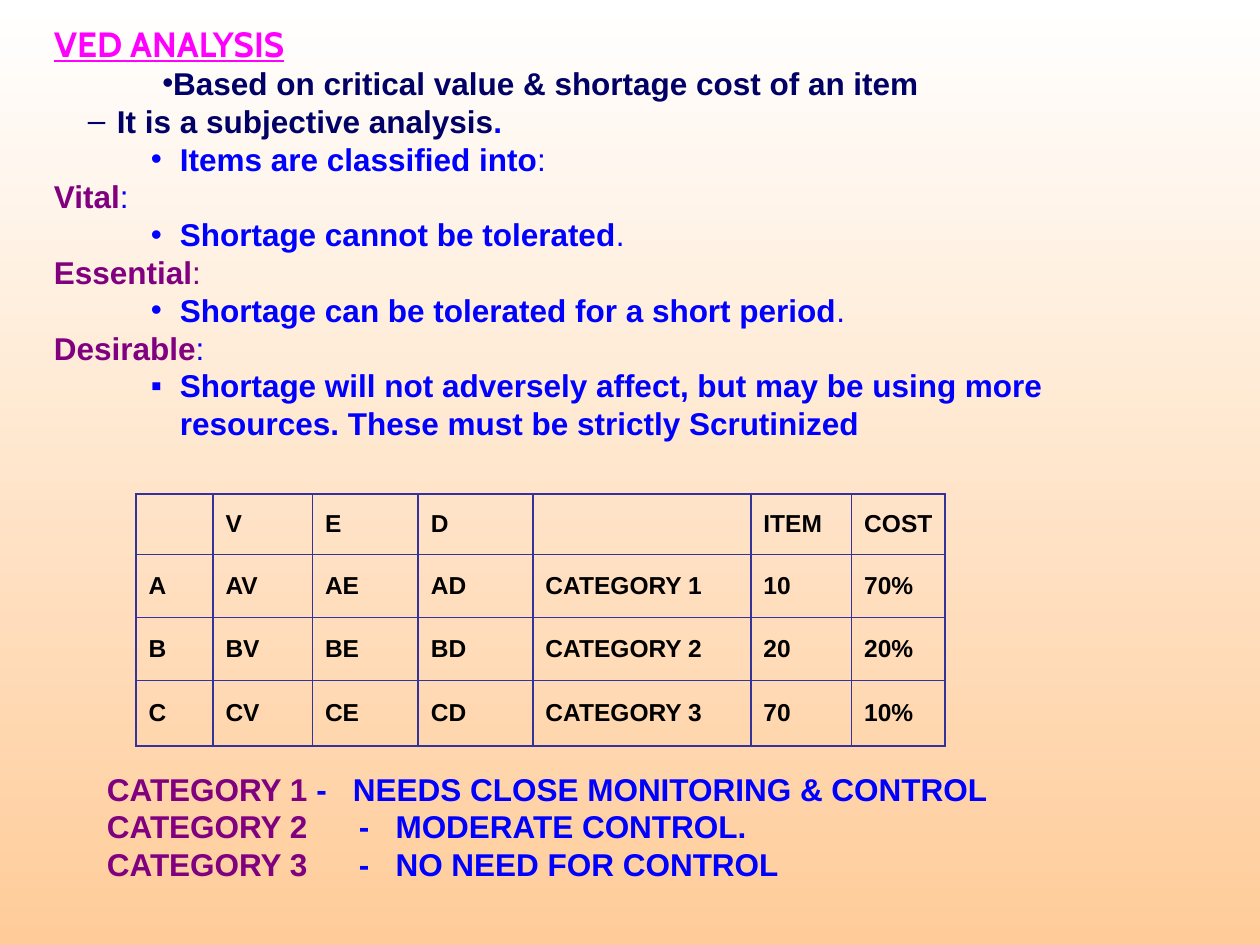
import pptx
import pptx.util
import pptx.dml.color
import pptx.enum.text
import pptx.oxml.xmlchemy
import pptx.oxml.ns
import lxml.etree

Inches, Pt = pptx.util.Inches, pptx.util.Pt
Anchor = pptx.enum.text.MSO_ANCHOR

theme = dict(
    font="Arial", head="Cabin", title=20, body=18, cell=14, pitch=21.6, rule=0.96,
    pink="FF00FF", navy="000066", blue="0000FF", plum="800080",
    black="000000", line="333399", top="FFFFFF", base="FFCC99")

# Content: each paragraph is (list style, runs); a run is (text, colour, bold)
title = "VED ANALYSIS"


def point(text, end="", mark="dot"):
    return mark, [(text, "blue", True), (end, "blue", False)]


def term(text, tail="blue"):
    return None, [(text, "plum", True), (":", tail, False)]


points = [
    ("lead", [("Based on critical value & shortage cost of an item", "navy", True)]),
    ("dash", [("It is a subjective analysis", "navy", True), (".", "blue", True)]),
    point("Items are classified into", ":"),
    term("Vital"),
    point("Shortage cannot be tolerated", "."),
    term("Essential", "plum"),
    point("Shortage can be tolerated for a short period", "."),
    term("Desirable"),
    point("Shortage will not adversely affect, but may be using more resources. "
          "These must be strictly Scrutinized", mark="box"),
]
grid = [
    ["", "V", "E", "D", "", "ITEM", "COST"],
    ["A", "AV", "AE", "AD", "CATEGORY 1", "10", "70%"],
    ["B", "BV", "BE", "BD", "CATEGORY 2", "20", "20%"],
    ["C", "CV", "CE", "CD", "CATEGORY 3", "70", "10%"],
]
rules = [
    ("CATEGORY 1", " -   NEEDS CLOSE MONITORING & CONTROL"),
    ("CATEGORY 2\t", "-   MODERATE CONTROL."),
    ("CATEGORY 3\t", "-   NO NEED FOR CONTROL"),
]
notes = [(None, [(name, "plum", True), (rule, "blue", True)]) for name, rule in rules]

# List styles: level, left margin, first-line indent, mark, mark colour
marks = dict(
    lead=(0, 0, 0.86, "•", "navy"),
    dash=(1, 0.5, -0.23, "–", "navy"),
    dot=(2, 1, -0.23, "•", "blue"),
    box=(2, 1, -0.23, "▪", "blue"))
widths = [0.61, 0.79, 0.84, 0.91, 1.73, 0.8, 0.74]
heights = [0.48, 0.5, 0.5, 0.52]


def color(name):
    return pptx.dml.color.RGBColor.from_string(theme[name])


def node(parent, tag, **attrs):
    item = lxml.etree.SubElement(parent, pptx.oxml.ns.qn("a:" + tag))
    for key, value in attrs.items():
        item.set(key, str(value))
    return item


def bullet(par, mark):
    level, left, first, sign, tint = marks[mark]
    par.level = level
    props = par._p.get_or_add_pPr()
    props.set("marL", str(Inches(left)))
    props.set("indent", str(Inches(first)))
    node(node(props, "buClr"), "srgbClr", val=theme[tint])
    node(props, "buFont", typeface=theme["font"])
    node(props, "buChar", char=sign)


def write(frame, pars, size="body", font="font", line=False, pitch=None,
          anchor=Anchor.TOP, tab=None):
    frame.word_wrap = True
    frame.vertical_anchor = anchor
    for i, (mark, runs) in enumerate(pars):
        par = frame.add_paragraph() if i else frame.paragraphs[0]
        par.alignment = pptx.enum.text.PP_ALIGN.LEFT
        if pitch:
            par.line_spacing = Pt(pitch)
            par.space_before = Pt(0)
        if mark:
            bullet(par, mark)
        if tab:
            stops = node(par._p.get_or_add_pPr(), "tabLst")
            node(stops, "tab", pos=Inches(tab), algn="l")
        for text, tint, bold in runs:
            if text:
                run = par.add_run()
                run.text = text
                run.font.name = theme[font]
                run.font.size = Pt(theme[size])
                run.font.color.rgb = color(tint)
                run.font.bold = bold
                run.font.underline = line


def border(cell):
    props = cell._tc.get_or_add_tcPr()
    for i, side in enumerate(("lnL", "lnR", "lnT", "lnB")):
        edge = node(props, side, w=Pt(theme["rule"]))
        node(node(edge, "solidFill"), "srgbClr", val=theme["line"])
        props.insert(i, edge)


# Slide and background
deck = pptx.Presentation()
deck.slide_width, deck.slide_height = Inches(10), Inches(7.5)
slide = deck.slides.add_slide(deck.slide_layouts[5])
fill = slide.background.fill
fill.gradient()
fill.gradient_angle = 270
for stop, place, tint in zip(fill.gradient_stops, (0, 1), ("top", "base")):
    stop.position = place
    stop.color.rgb = color(tint)

# Title
head = slide.shapes.title
head.left, head.top = Inches(0.33), Inches(0.13)
head.width, head.height = Inches(9.17), Inches(0.33)
write(head.text_frame, [(None, [(title, "pink", True)])],
      size="title", font="head", line=True)
head.text_frame.auto_size = pptx.enum.text.MSO_AUTO_SIZE.NONE

# Points above the table, rules below it
for pars, spot, tab in ((points, (0.33, 0.46, 9.17, 3.1), None),
                        (notes, (0.75, 6.06, 8.67, 1.3), 2)):
    area = slide.shapes.add_textbox(*map(Inches, spot))
    write(area.text_frame, pars, pitch=theme["pitch"], tab=tab)

# Table; the narrow right margin keeps each heading on one line
table = slide.shapes.add_table(
    len(grid), len(widths), Inches(1.08), Inches(3.92),
    Inches(sum(widths)), Inches(sum(heights))).table
table.first_row = table.horz_banding = False
for col, width in zip(table.columns, widths):
    col.width = Inches(width)
for row, height, texts in zip(table.rows, heights, grid):
    row.height = Inches(height)
    for cell, text in zip(row.cells, texts):
        cell.fill.background()
        border(cell)
        write(cell.text_frame, [(None, [(text, "black", True)])], size="cell")
        cell.vertical_anchor = Anchor.MIDDLE
        cell.margin_right = Inches(0.04)

deck.save("out.pptx")
